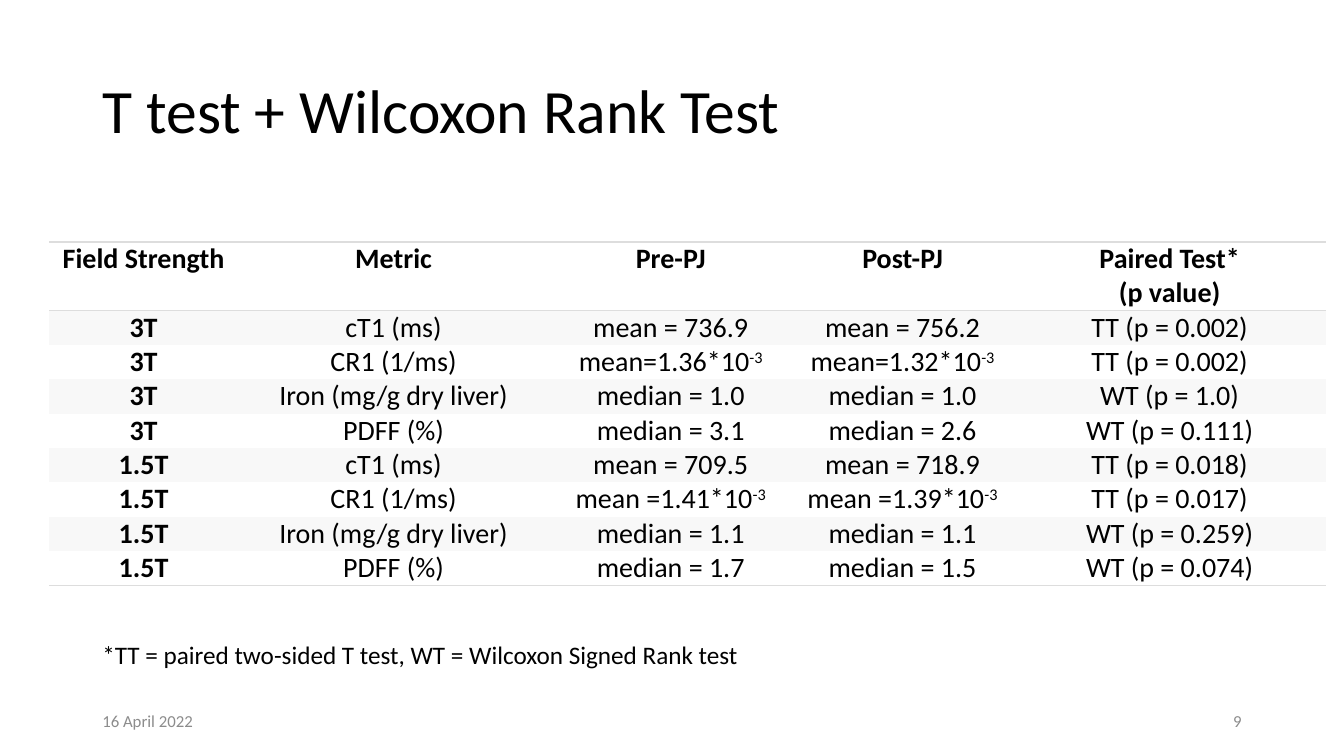
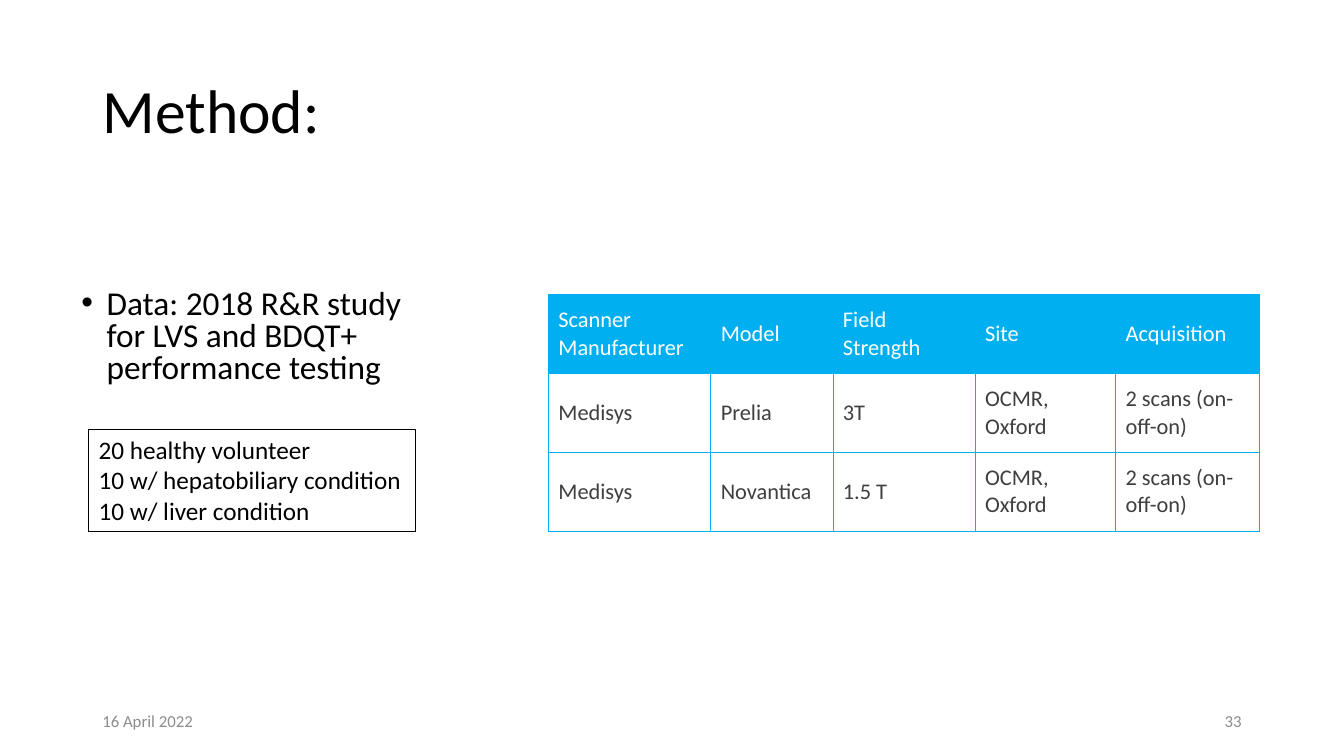
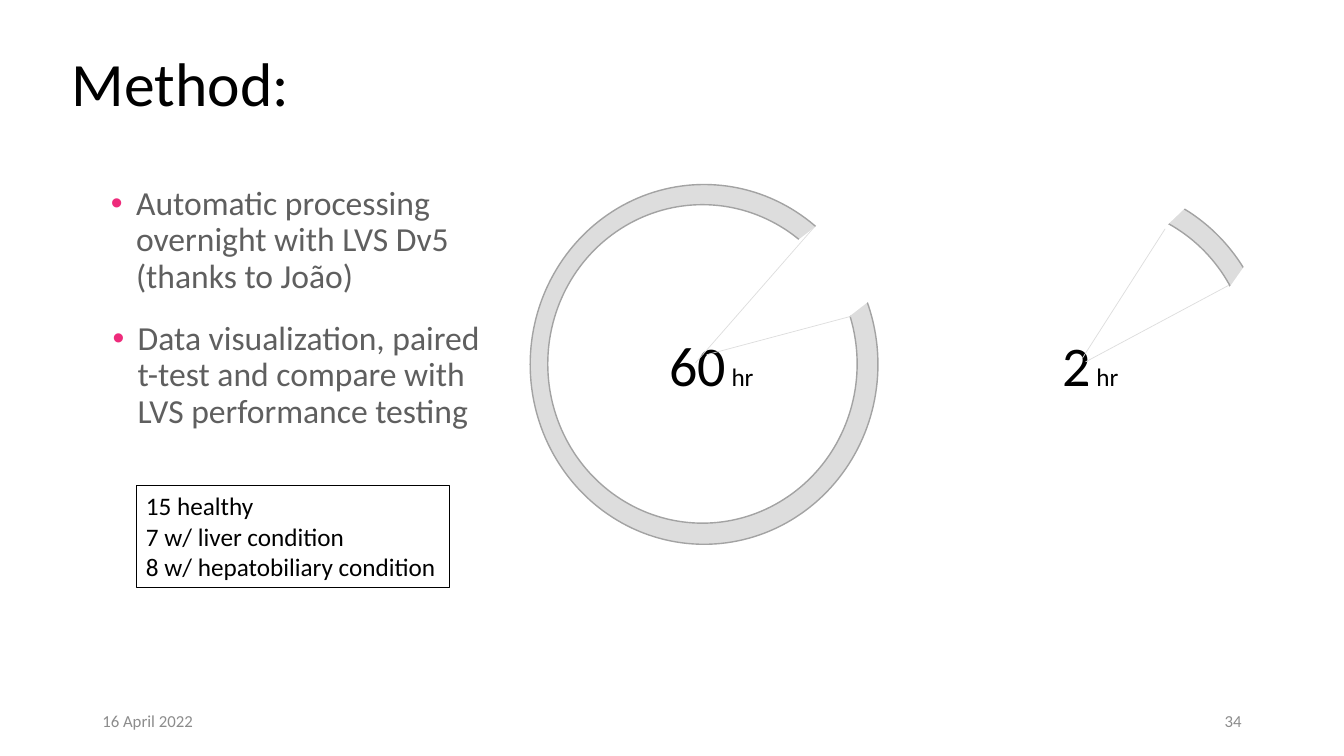
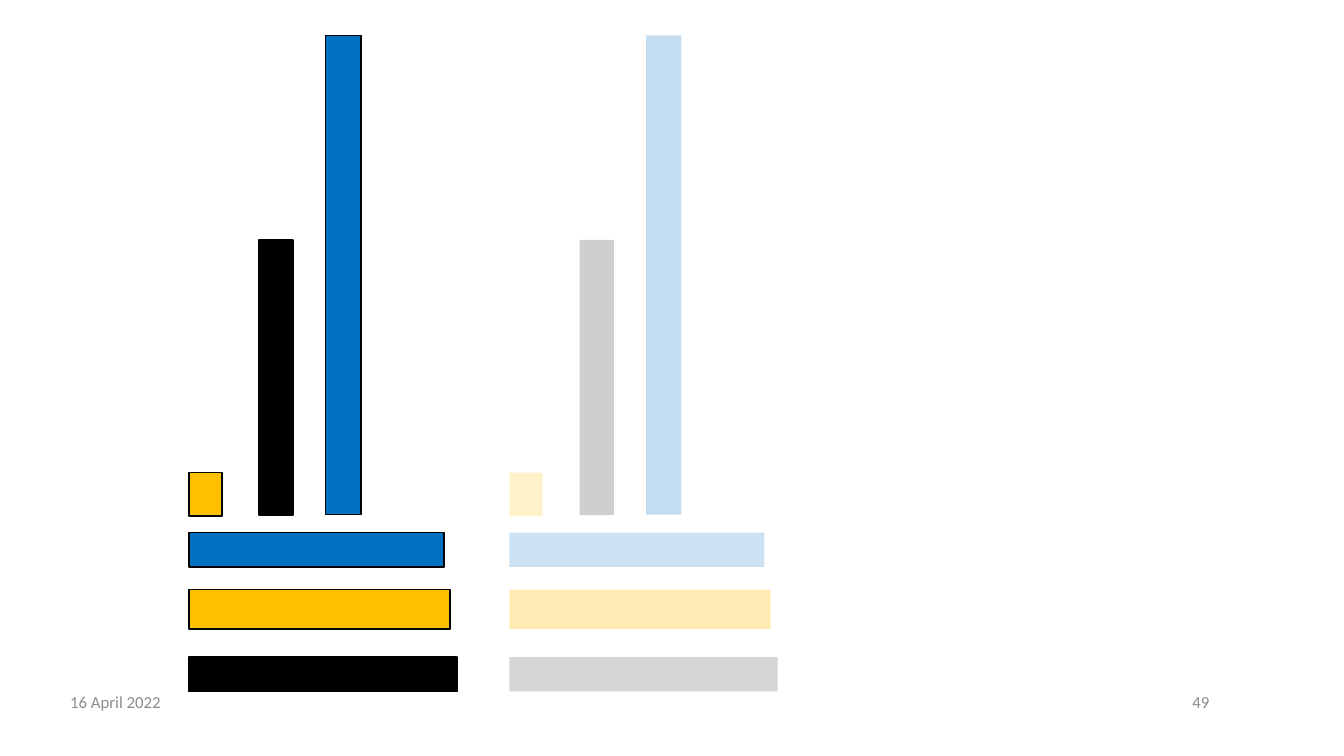
"""Build four slides on a liver scan study: tests, method, timing and bars."""
from lxml import etree
from pptx import Presentation
from pptx.dml.color import RGBColor
from pptx.enum import shapes as sh, text as tx
from pptx.oxml.ns import qn
from pptx.util import Pt

INK = {
    "black": "000000", "white": "FFFFFF", "gray": "8C8C8C", "text": "5F5F5F",
    "cell": "3F3F3F", "rule": "DDDDDD", "band": "F8F8F8", "ring": "A3A3A3",
    "cyan": "00AFEF", "pink": "EE2B7B", "blue": "0070C0", "gold": "FFC000",
}
FONT = "Calibri"
RECT, OVAL = sh.MSO_SHAPE.RECTANGLE, sh.MSO_SHAPE.OVAL
SIDE = {"l": tx.PP_ALIGN.LEFT, "c": tx.PP_ALIGN.CENTER, "r": tx.PP_ALIGN.RIGHT}
MID, TOP = tx.MSO_ANCHOR.MIDDLE, tx.MSO_ANCHOR.TOP


def write(frame, lines, size, ink, bold=False, side="l", small=None, lift=0, gap=1.0):
    """Fill a frame; "|" starts a run in the small or lifted style."""
    for i, line in enumerate(lines):
        para = frame.add_paragraph() if i else frame.paragraphs[0]
        para.alignment = SIDE[side]
        para.line_spacing = gap
        para.space_before = Pt(0)
        for j, part in enumerate(line.split("|")):
            run = para.add_run()
            run.text = part
            run.font.name = FONT
            run.font.size = Pt(small if j and small else size)
            run.font.bold = bold
            run.font.color.rgb = RGBColor.from_string(INK[ink])
            if j and lift:
                run._r.get_or_add_rPr().set("baseline", str(lift * 1000))


def box(slide, kind, at, fill=None, line=None, wide=1, turn=0):
    """Add a shape, or a text box when kind is None, without shadow."""
    at = [Pt(v) for v in at]
    if kind is None:
        item = slide.shapes.add_textbox(*at)
    else:
        item = slide.shapes.add_shape(kind, *at)
        item.shadow.inherit = False
    item.rotation = turn
    if fill:
        item.fill.solid()
        item.fill.fore_color.rgb = RGBColor.from_string(INK[fill])
    else:
        item.fill.background()
    if line:
        item.line.color.rgb = RGBColor.from_string(INK[line])
        item.line.width = Pt(wide)
    else:
        item.line.fill.background()
    item.text_frame.vertical_anchor = TOP
    return item


deck = Presentation()
deck.slide_width, deck.slide_height = Pt(960), Pt(540)
tests, data, time, bars = [
    deck.slides.add_slide(deck.slide_layouts[n]) for n in (5, 1, 3, 6)]

for slide, name, at in (
    (tests, "T test + Wilcoxon Rank Test", (66, 28.8, 828, 104.4)),
    (data, "Method:", (66, 28.8, 828, 104.4)),
    (time, "Method:", (44, 26, 872, 71)),
):
    head = slide.shapes.title
    head.left, head.top, head.width, head.height = [Pt(v) for v in at]
    head.text_frame.auto_size = tx.MSO_AUTO_SIZE.NONE
    head.text_frame.vertical_anchor = MID
    write(head.text_frame, [name], 44, "black", gap=0.9)

for slide, slot, at, words, size, ink, dot, gap in (
    (data, 1, (51, 203.8, 256.5, 82), "Data: 2018 R&R study for LVS and BDQT+ performance testing",
     23.8, "black", "black", 0.8),
    (time, 1, (72, 129.6, 263.5, 96.5), "Automatic processing overnight with LVS Dv5 (thanks to João)",
     24, "text", "pink", 0.9),
    (time, 2, (73.2, 226, 284, 96.5),
     "Data visualization, paired t-test and compare with LVS performance testing",
     24, "text", "pink", 0.9),
):
    body = slide.placeholders[slot]
    body.left, body.top, body.width, body.height = [Pt(v) for v in at]
    body.text_frame.auto_size = tx.MSO_AUTO_SIZE.NONE
    write(body.text_frame, [words], size, ink, gap=gap)
    prop = body.text_frame.paragraphs[0]._p.get_or_add_pPr()
    prop.set("marL", str(Pt(18)))
    prop.set("indent", str(-Pt(18)))
    tint = etree.SubElement(prop, qn("a:buClr"))
    etree.SubElement(tint, qn("a:srgbClr")).set("val", INK[dot])
    etree.SubElement(prop, qn("a:buFont")).set("typeface", "Arial")
    etree.SubElement(prop, qn("a:buChar")).set("char", "•")

stats = [
    ["Field Strength", "Metric", "Pre-PJ", "Post-PJ", "Paired Test*\n(p value)"],
    ["3T", "cT1 (ms)", "mean = 736.9", "mean = 756.2", "TT (p = 0.002)"],
    ["3T", "CR1 (1/ms)", "mean=1.36*10|-3", "mean=1.32*10|-3", "TT (p = 0.002)"],
    ["3T", "Iron (mg/g dry liver)", "median = 1.0", "median = 1.0", "WT (p = 1.0)"],
    ["3T", "PDFF (%)", "median = 3.1", "median = 2.6", "WT (p = 0.111)"],
    ["1.5T", "cT1 (ms)", "mean = 709.5", "mean = 718.9", "TT (p = 0.018)"],
    ["1.5T", "CR1 (1/ms)", "mean =1.41*10|-3", "mean =1.39*10|-3", "TT (p = 0.017)"],
    ["1.5T", "Iron (mg/g dry liver)", "median = 1.1", "median = 1.1", "WT (p = 0.259)"],
    ["1.5T", "PDFF (%)", "median = 1.7", "median = 1.5", "WT (p = 0.074)"],
]
scans = [
    ["Scanner Manufacturer", "Model", "Field Strength", "Site", "Acquisition"],
    ["Medisys", "Prelia", "3T", "OCMR, Oxford", "2 scans (on-off-on)"],
    ["Medisys", "Novantica", "1.5 T", "OCMR, Oxford", "2 scans (on-off-on)"],
]
for slide, rows, at, cols, tall in (
    (tests, stats, (35.3, 172.8), (134.6, 222.5, 173.5, 157.7, 223.9), [48.8] + [24.4] * 8),
    (data, scans, (391.7, 210.2), (116, 87.2, 101.6, 100.4, 102.8), [56.4] * 3),
):
    plain = rows is stats
    grid = slide.shapes.add_table(
        len(rows), len(cols), Pt(at[0]), Pt(at[1]), Pt(sum(cols)), Pt(sum(tall))).table
    grid.first_row = grid.horz_banding = False
    grid._tbl.tblPr.find(qn("a:tableStyleId")).text = "{2D5ABB26-0587-4C30-8999-92F81FD0307C}"
    for c, wide in enumerate(cols):
        grid.columns[c].width = Pt(wide)
    for r, row in enumerate(rows):
        grid.rows[r].height = Pt(tall[r])
        for c, words in enumerate(row):
            cell = grid.cell(r, c)
            if plain:
                cell.margin_left = cell.margin_right = Pt(5)
                cell.margin_top = cell.margin_bottom = 0
                write(cell.text_frame, words.split("\n"), 20, "black",
                      bold=r == 0 or c == 0, side="c", lift=30)
                fill = "band" if r % 2 else None
                edges = {0: "TB", len(rows) - 1: "B"}.get(r, "")
            else:
                cell.vertical_anchor = MID
                write(cell.text_frame, [words], 16, "cell" if r else "white")
                fill = "white" if r else "cyan"
                edges = "LRTB"
            if fill:
                cell.fill.solid()
                cell.fill.fore_color.rgb = RGBColor.from_string(INK[fill])
            else:
                cell.fill.background()
            for n, edge in enumerate(edges):
                line = etree.Element(qn("a:ln" + edge), w=str(Pt(1 if plain else 0.5)))
                paint = etree.SubElement(line, qn("a:solidFill"))
                etree.SubElement(paint, qn("a:srgbClr")).set("val", INK["rule" if plain else "cyan"])
                cell._tc.get_or_add_tcPr().insert(n, line)

note = box(tests, None, (66, 452.9, 474, 29))
note.text_frame.word_wrap = False
write(note.text_frame, ["*TT = paired two-sided T test, WT = Wilcoxon Signed Rank test"], 18, "black")

for slide, at, lines in (
    (data, (63.4, 306.7, 233.3, 72.7),
     ["20 healthy volunteer", "10 w/ hepatobiliary condition", "10 w/ liver condition"]),
    (time, (97.2, 347, 224, 72.7),
     ["15 healthy", "7 w/ liver condition", "8 w/ hepatobiliary condition"]),
):
    group = box(slide, RECT, at, line="black", wide=0.75)
    group.text_frame.word_wrap = False
    write(group.text_frame, lines, 18, "black")

for left, words, spot, wide, mask, turn in (
    (378.7, "60| hr", 470.9, 80, (578.9, 142.6, 65.5, 76.3), 52.3),
    (659.2, "2| hr", 751.7, 59, (826.6, 195.8, 86.4, 193), 35.1),
):
    box(time, OVAL, (left, 131.8, 248.4, 257), "rule", "ring")
    box(time, OVAL, (left + 12.6, 146.2, 221, 227.5), "white", "ring")
    box(time, RECT, mask, "white", turn=turn)
    hours = box(time, None, (spot, 232.6, wide, 55.4))
    hours.text_frame.word_wrap = False
    write(hours.text_frame, [words], 40, "black", small=18)
for at, turn in (
    ((693.4, 72, 108, 193), 46.4),
    ((694, 245.5, 108, 206), 126.5),
    ((629.3, 225.4, 108, 54.7), 102),
):
    box(time, RECT, at, "white", turn=turn)
for ends in (
    (581.8, 162, 496.8, 259.2), (607.7, 226, 504.7, 253.4),
    (877.7, 203.8, 775.4, 258.5), (832.3, 163.4, 773.3, 255.6),
):
    hand = time.shapes.add_connector(sh.MSO_CONNECTOR.STRAIGHT, *[Pt(v) for v in ends])
    hand.line.color.rgb = RGBColor.from_string(INK["rule"])
    hand.line.width = Pt(0.5)
    etree.SubElement(hand._element.spPr, qn("a:effectLst"))

for shift, faint in ((0, False), (229, True)):
    for at, ink, alpha in (
        ((134.9, 469.4, 191.5, 24.5), "black", 16),
        ((134.9, 337.7, 23.8, 31), "gold", 21),
        ((185, 171.4, 24.5, 196.6), "black", 19),
        ((232.6, 25.2, 25.2, 342.4), "blue", 23),
        ((134.9, 380.5, 182.2, 24.5), "blue", 20),
        ((134.9, 421.2, 186.5, 28.1), "gold", 29),
    ):
        bar = box(bars, RECT, (at[0] + shift, *at[1:]), ink, None if faint else "black")
        if faint:
            tint = bar._element.spPr.find(qn("a:solidFill"))[0]
            etree.SubElement(tint, qn("a:alpha")).set("val", str(alpha * 1000))

for slide, page, left, top in (
    (tests, "9", 66, 500.5), (data, "33", 66, 500.5),
    (time, "34", 66, 500.5), (bars, "49", 43, 486.8),
):
    for x, words, side in ((left, "16 April 2022", "l"), (left + 612, page, "r")):
        foot = box(slide, None, (x, top, 216, 28.8))
        foot.text_frame.word_wrap = True
        foot.text_frame.vertical_anchor = MID
        write(foot.text_frame, [words], 12, "gray", side=side)

deck.save("out.pptx")
